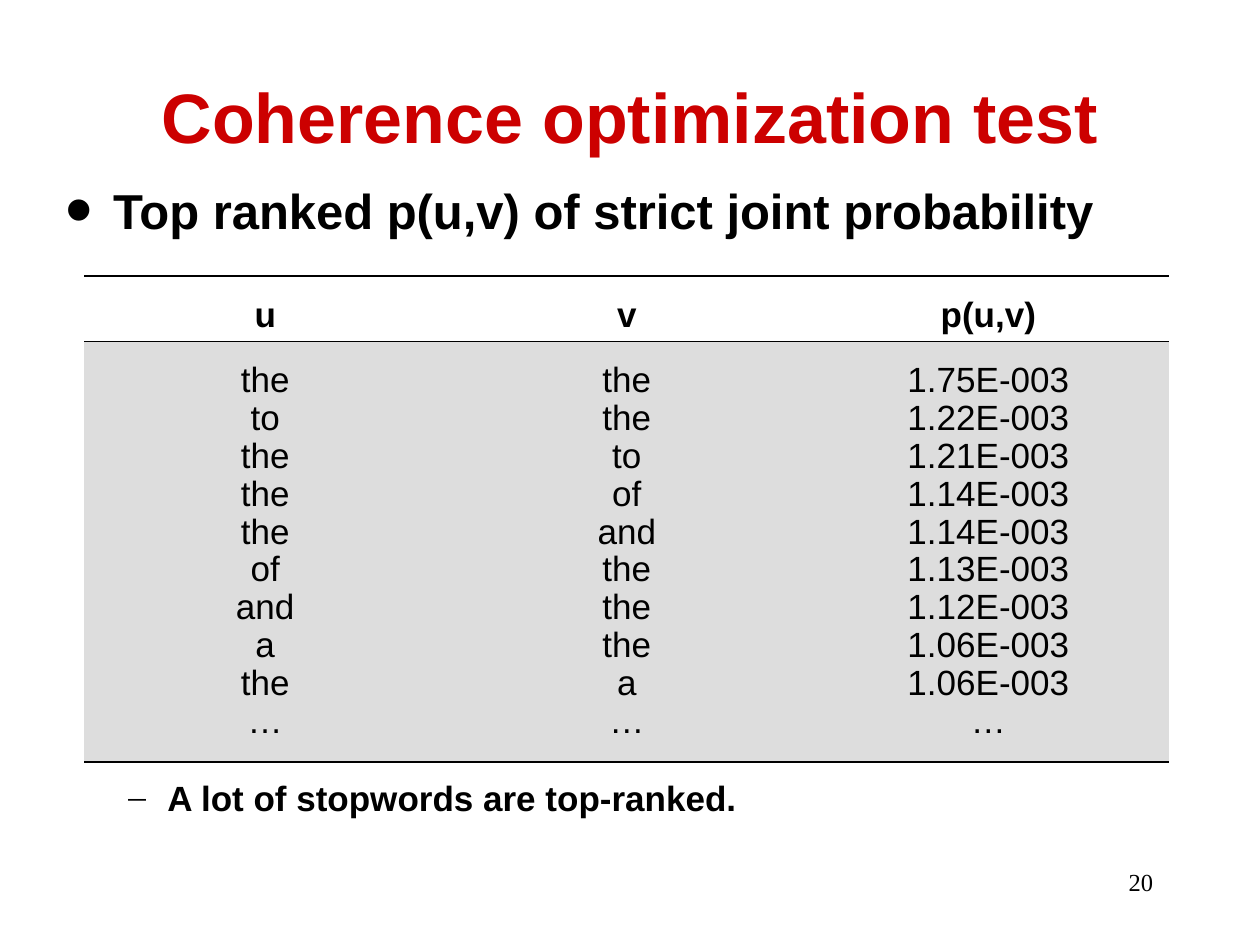
from lxml.etree import SubElement
from pptx import Presentation
from pptx.dml.color import RGBColor
from pptx.enum.text import MSO_ANCHOR as Anchor, PP_ALIGN as Align
from pptx.oxml.ns import qn
from pptx.util import Inches, Pt

COLORS = {"title": "CC0000", "text": "000000", "body": "DDDDDD"}
HEADERS = ["u", "v", "p(u,v)"]
RANKING = [
    ("the", "the", "1.75E-003"),
    ("to", "the", "1.22E-003"),
    ("the", "to", "1.21E-003"),
    ("the", "of", "1.14E-003"),
    ("the", "and", "1.14E-003"),
    ("of", "the", "1.13E-003"),
    ("and", "the", "1.12E-003"),
    ("a", "the", "1.06E-003"),
    ("the", "a", "1.06E-003"),
    ("…", "…", "…"),
]


def rgb(name):
    return RGBColor.from_string(COLORS[name])


def style(paragraph, size, bold=False, color="text", font="Arial", align=Align.LEFT):
    paragraph.alignment = align
    for run in paragraph.runs:
        run.font.size = Pt(size)
        run.font.bold = bold
        run.font.name = font
        run.font.color.rgb = rgb(color)


def place(shape, left, top, width, height):
    shape.left, shape.top = Inches(left), Inches(top)
    shape.width, shape.height = Inches(width), Inches(height)


def add_title(slide, text):
    title = slide.shapes.title
    place(title, 0, 0.33, 10, 1.17)
    title.text_frame.text = text
    title.text_frame.vertical_anchor = Anchor.MIDDLE
    style(title.text_frame.paragraphs[0], 40, True, "title", align=Align.CENTER)


def add_text(slide, text, left, top, width, height):
    box = slide.shapes.add_textbox(*map(Inches, (left, top, width, height)))
    box.text_frame.word_wrap = True
    box.text_frame.text = text
    return box.text_frame.paragraphs[0]


def add_bullet(slide, text, top, size, indent, hanging, mark, mark_font, mark_percent):
    paragraph = add_text(slide, text, 0.42, top, 9.25, 0.55)
    properties = paragraph._p.get_or_add_pPr()
    properties.set("marL", str(Inches(indent)))
    properties.set("indent", str(-Inches(hanging)))
    SubElement(properties, qn("a:buSzPct"), val=str(mark_percent * 1000))
    SubElement(properties, qn("a:buFont"), typeface=mark_font)
    SubElement(properties, qn("a:buChar"), char=mark)
    style(paragraph, size, True)


def add_rules(cell, sides):
    properties = cell._tc.get_or_add_tcPr()
    for side in sides:
        line = SubElement(properties, qn(f"a:ln{side}"), w=str(Pt(1)))
        fill = SubElement(line, qn("a:solidFill"))
        SubElement(fill, qn("a:srgbClr"), val=COLORS["text"])


def fill_cell(cell, text, anchor, bold, sides, spacing):
    add_rules(cell, sides)
    cell.text_frame.text = text
    cell.vertical_anchor = anchor
    for paragraph in cell.text_frame.paragraphs:
        paragraph.line_spacing = spacing
        style(paragraph, 20, bold, align=Align.CENTER)


def add_ranking_table(slide):
    frame = slide.shapes.add_table(
        2, len(HEADERS), Inches(0.67), Inches(2.19), Inches(8.61), Inches(3.81))
    table = frame.table
    table.first_row = table.horz_banding = False
    style_id = table._tbl.tblPr.find(qn("a:tableStyleId"))
    style_id.text = "{2D5ABB26-0587-4C30-8999-92F81FD0307C}"
    table.rows[0].height, table.rows[1].height = Inches(0.52), Inches(3.29)
    for column, (header, values) in enumerate(zip(HEADERS, zip(*RANKING))):
        head, body = table.cell(0, column), table.cell(1, column)
        fill_cell(head, header, Anchor.BOTTOM, True, "TB", 1.0)
        head.fill.background()
        fill_cell(body, "\n".join(values), Anchor.MIDDLE, False, "TB", 0.97)
        body.fill.solid()
        body.fill.fore_color.rgb = rgb("body")


def main():
    prs = Presentation()
    prs.slide_width, prs.slide_height = Inches(10), Inches(7.5)
    slide = prs.slides.add_slide(prs.slide_layouts[5])
    add_title(slide, "Coherence optimization test")
    add_bullet(slide, "Top ranked p(u,v) of strict joint probability",
               1.38, 28, 0.38, 0.38, "•", "Arial", 160)
    add_ranking_table(slide)
    add_bullet(slide, "A lot of stopwords are top-ranked.",
               6.11, 20, 0.81, 0.31, "–", "Times New Roman", 100)
    page_number = add_text(slide, "20", 7.17, 6.83, 2.08, 0.5)
    style(page_number, 14, font="Times New Roman", align=Align.RIGHT)
    prs.save("out.pptx")


if __name__ == "__main__":
    main()
